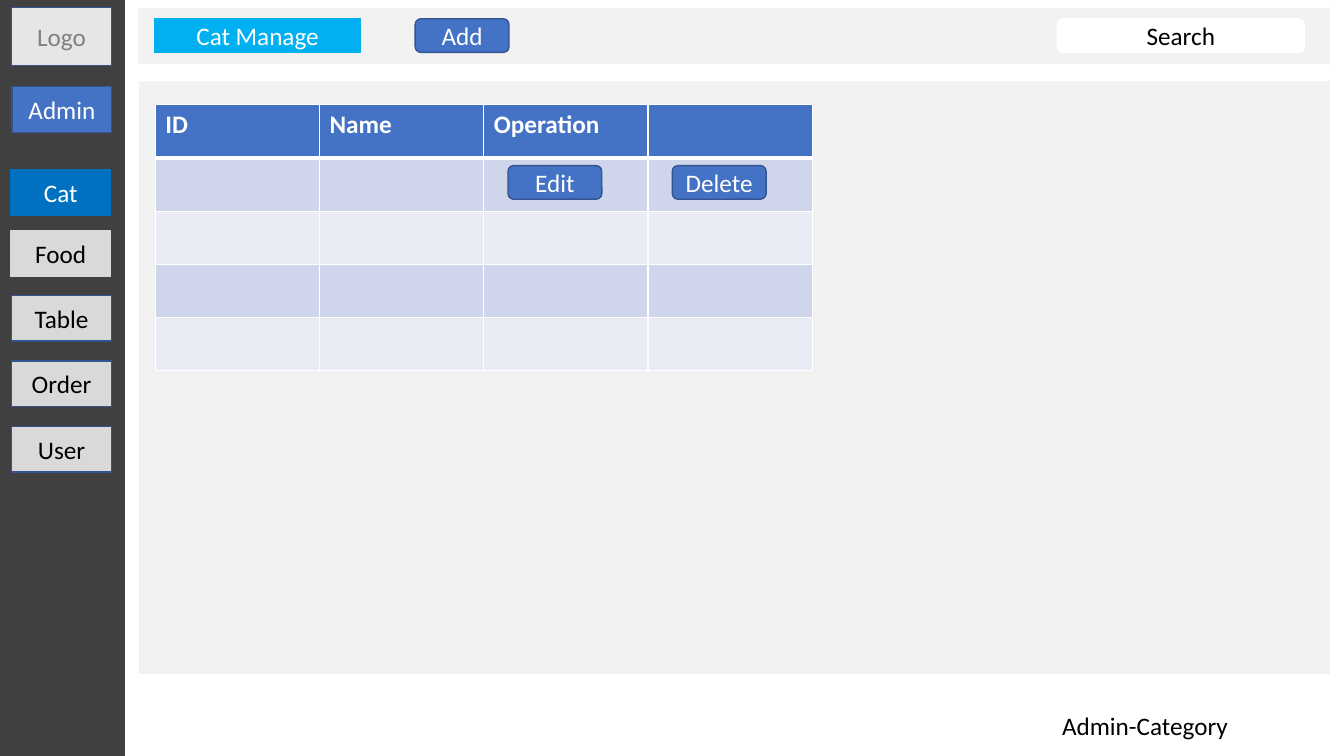
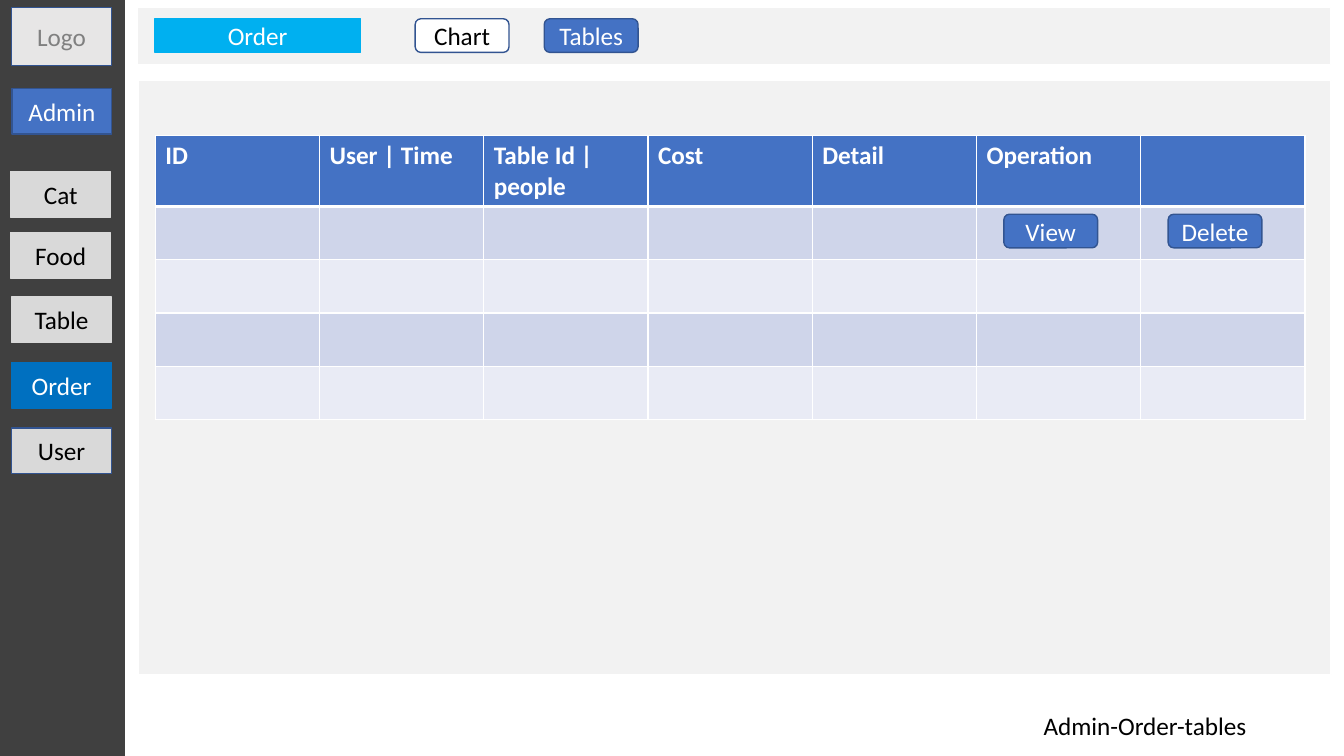
import pptx
import pptx.util
import pptx.dml.color
import pptx.enum.shapes
import pptx.enum.text
import pptx.oxml
import pptx.oxml.ns

Pt = pptx.util.Pt
RGBColor = pptx.dml.color.RGBColor
SHAPE = pptx.enum.shapes.MSO_SHAPE
ALIGN = pptx.enum.text.PP_ALIGN
ANCHOR = pptx.enum.text.MSO_ANCHOR

# Shared colours and font
WHITE = RGBColor(0xFF, 0xFF, 0xFF)
BLACK = RGBColor(0x00, 0x00, 0x00)
CHARCOAL = RGBColor(0x40, 0x40, 0x40)
PANEL = RGBColor(0xF2, 0xF2, 0xF2)
BLUE = RGBColor(0x44, 0x72, 0xC4)
NAVY = RGBColor(0x32, 0x54, 0x91)
CYAN = RGBColor(0x00, 0xB0, 0xF0)
ACTIVE = RGBColor(0x00, 0x70, 0xC0)
GREY = RGBColor(0xD9, 0xD9, 0xD9)
LOGO_FILL = RGBColor(0xE7, 0xE6, 0xE6)
LOGO_TEXT = RGBColor(0x80, 0x80, 0x80)
BANDS = (RGBColor(0xCF, 0xD5, 0xEA), RGBColor(0xE9, 0xEB, 0xF5))
FONT, SIZE = "Calibri", 18

# Button styles: fill, outline, text
SOLID = (BLUE, NAVY, WHITE)
OUTLINED = (WHITE, NAVY, BLACK)
FIELD = (WHITE, WHITE, BLACK)

# Shared layout, in points
SLIDE_W, SLIDE_H = 960, 540
MENU = [("Cat", 7.7, 121.5), ("Food", 7.7, 165), ("Table", 8.3, 211),
        ("Order", 8.3, 257.8), ("User", 8.3, 304.5)]
MENU_W, MENU_H = 71.3, 32.6
BAR_TOP, BUTTON_W, BUTTON_H = 13.4, 67, 24
TABLE_LEFT, COL_W, ROW_H, BODY_ROWS = 110.9, 117.35, 38, 4
ACTION_DROP = 5.4

# Content of each screen
SCREENS = [
    {
        "title": "Cat Manage", "footer": "Admin-Category",
        "active": "Cat", "framed": ("Table", "Order", "User"), "menu_shift": 0,
        "bar": [("Add", 296.6, BUTTON_W, SOLID), ("Search", 755.3, 176.4, FIELD)],
        "header": ["ID", "Name", "Operation", ""],
        "table_top": 74.9, "header_h": ROW_H,
        "actions": ["Edit", "Delete"], "action_indent": 17.3,
    },
    {
        "title": "Order", "footer": "Admin-Order-tables",
        "active": "Order", "framed": ("User",), "menu_shift": 1.2,
        "bar": [("Chart", 296.6, BUTTON_W, OUTLINED),
                ("Tables", 388.8, BUTTON_W, SOLID)],
        "header": ["ID", "User | Time", "Table Id | people", "Cost", "Detail",
                   "Operation", ""],
        "table_top": 96.6, "header_h": 51,
        "actions": ["View", "Delete"], "action_indent": 19.4,
    },
]


def style_text(p, color, align=ALIGN.CENTER, bold=False):
    p.alignment = align
    p.font.name, p.font.size, p.font.bold = FONT, Pt(SIZE), bold
    p.font.color.rgb = color


def add_box(s, left, top, width, height, style, text="", kind=SHAPE.RECTANGLE):
    fill, line, color = style
    sp = s.shapes.add_shape(kind, Pt(left), Pt(top), Pt(width), Pt(height))
    sp.shadow.inherit = False
    sp.fill.solid()
    sp.fill.fore_color.rgb = fill
    sp.line.color.rgb = line
    sp.line.width = Pt(1)
    if text:
        tf = sp.text_frame
        tf.vertical_anchor = ANCHOR.MIDDLE
        tf.paragraphs[0].text = text
        style_text(tf.paragraphs[0], color)


def add_button(s, text, left, top, width, style):
    add_box(s, left, top, width, BUTTON_H, style, text, SHAPE.ROUNDED_RECTANGLE)


def set_borders(cell, top, bottom):
    """White rules; top and bottom are widths in points."""
    tc_pr = cell._tc.get_or_add_tcPr()
    for i, (side, width) in enumerate(zip("LRTB", (1, 1, top, bottom))):
        ln = pptx.oxml.parse_xml(
            f'<a:ln{side} {pptx.oxml.ns.nsdecls("a")} w="{Pt(width)}">'
            f'<a:solidFill><a:srgbClr val="{WHITE}"/></a:solidFill></a:ln{side}>')
        tc_pr.insert(i, ln)


def add_frame(s, screen):
    """Sidebar, menu, panels, title and footer."""
    shift = screen["menu_shift"]
    add_box(s, 0, 0, 88.6, SLIDE_H, (CHARCOAL, CHARCOAL, WHITE))
    add_box(s, 8.3, 5.3, MENU_W, 41.4, (LOGO_FILL, NAVY, LOGO_TEXT), "Logo")
    add_box(s, 8.6, 62 + shift, MENU_W, MENU_H, SOLID, "Admin")
    for label, left, top in MENU:
        if label == screen["active"]:
            style = (ACTIVE, ACTIVE, WHITE)
        else:
            style = (GREY, NAVY if label in screen["framed"] else GREY, BLACK)
        add_box(s, left, top + shift, MENU_W, MENU_H, style, label)

    for left, top, height in ((98, 5.3, 41), (98.6, 57.5, 424.5)):
        add_box(s, left, top, 852.3, height, (PANEL, WHITE, BLACK))
    add_box(s, 110.6, BAR_TOP, 146.9, BUTTON_H, (CYAN, CYAN, WHITE), screen["title"])

    tf = s.shapes.add_textbox(Pt(702.7), Pt(504), Pt(230.4), Pt(29)).text_frame
    tf.word_wrap = True
    tf.paragraphs[0].text = screen["footer"]
    style_text(tf.paragraphs[0], BLACK)


def add_grid(s, screen):
    """Banded table with action buttons in the first body row."""
    header, top, header_h = screen["header"], screen["table_top"], screen["header_h"]
    cols = len(header)
    table = s.shapes.add_table(
        BODY_ROWS + 1, cols, Pt(TABLE_LEFT), Pt(top),
        Pt(COL_W * cols), Pt(header_h + ROW_H * BODY_ROWS)).table
    for col in table.columns:
        col.width = Pt(COL_W)
    for r, row in enumerate(table.rows):
        row.height = Pt(ROW_H if r else header_h)
        for c, cell in enumerate(row.cells):
            cell.fill.solid()
            cell.fill.fore_color.rgb = BANDS[(r - 1) % 2] if r else BLUE
            set_borders(cell, 3 if r == 1 else 1, 1 if r else 3)
            p = cell.text_frame.paragraphs[0]
            if r == 0 and header[c]:
                p.text = header[c]
                style_text(p, WHITE, ALIGN.LEFT, True)

    actions = screen["actions"]
    for c, label in enumerate(actions, cols - len(actions)):
        add_button(s, label, TABLE_LEFT + c * COL_W + screen["action_indent"],
                   top + header_h + ACTION_DROP, BUTTON_W, SOLID)


def main():
    prs = pptx.Presentation()
    prs.slide_width, prs.slide_height = Pt(SLIDE_W), Pt(SLIDE_H)
    for screen in SCREENS:
        s = prs.slides.add_slide(prs.slide_layouts[6])
        add_frame(s, screen)
        for label, left, width, style in screen["bar"]:
            add_button(s, label, left, BAR_TOP, width, style)
        add_grid(s, screen)
    prs.save("out.pptx")


if __name__ == "__main__":
    main()
